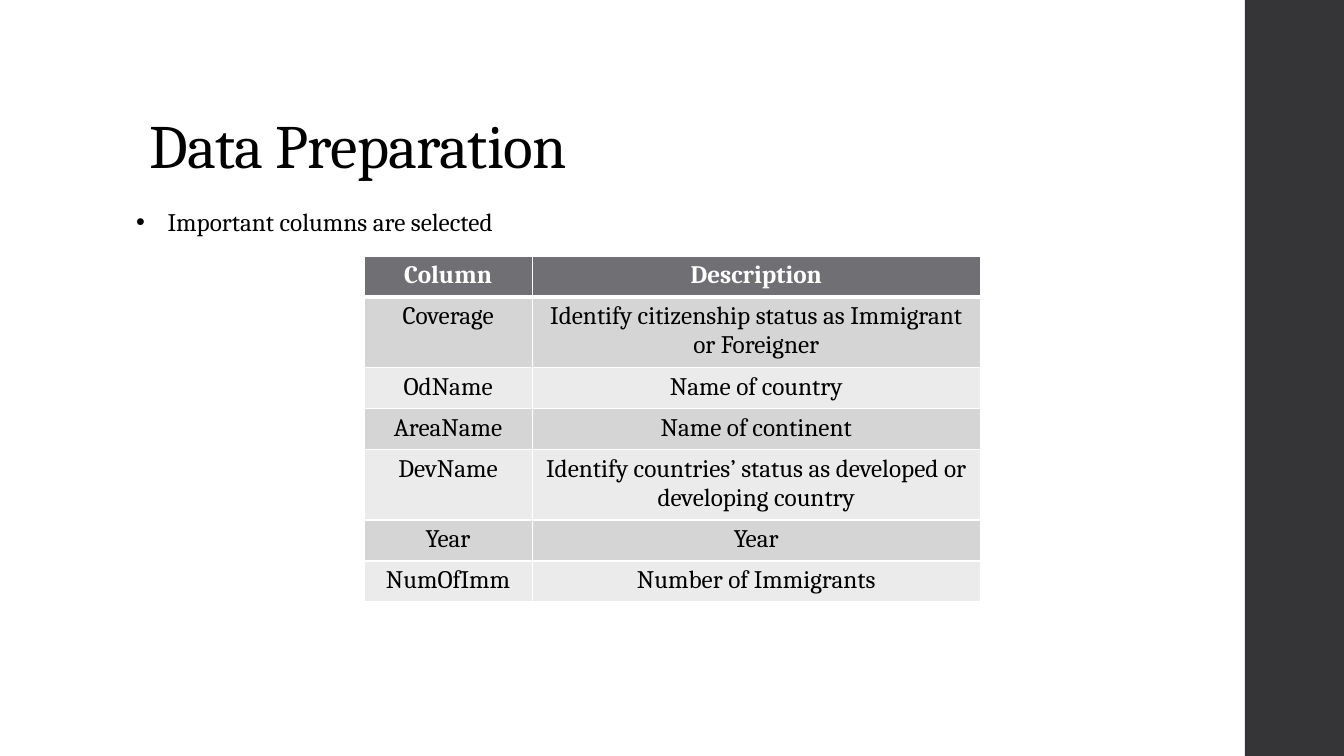
from dataclasses import dataclass

from lxml import etree
from pptx import Presentation
from pptx.dml.color import RGBColor
from pptx.enum import shapes, text
from pptx.oxml import ns
from pptx.util import Pt


@dataclass(frozen=True)
class Theme:
    font: str = "Cambria"
    title_size: float = 44
    body_size: float = 18
    ink: str = "000000"
    paper: str = "FFFFFF"
    sidebar: str = "353537"
    header: str = "6F6F74"
    bands: tuple[str, str] = ("D5D5D6", "EBEBEB")
    rule: float = 1
    header_rule: float = 3


@dataclass(frozen=True)
class Box:
    left: float
    top: float
    width: float
    height: float

    def lengths(self) -> tuple[Pt, Pt, Pt, Pt]:
        return Pt(self.left), Pt(self.top), Pt(self.width), Pt(self.height)


@dataclass(frozen=True)
class Field:
    column: str
    description: str


THEME = Theme()
SLIDE_WIDTH, SLIDE_HEIGHT = 960, 540
SIDEBAR_LEFT = 889.2
SIDEBAR = Box(SIDEBAR_LEFT, 0, SLIDE_WIDTH - SIDEBAR_LEFT, SLIDE_HEIGHT)
HEADING = Box(99.4, 28.8, 763.2, 104.4)
BULLET = Box(90, 144, 638, 29.1)
BULLET_INDENT = 22.5
COLUMN_WIDTHS = (120.2, 320)
ROW_HEIGHT = 29.2

FIELDS = (
    Field("Column", "Description"),
    Field("Coverage", "Identify citizenship status as Immigrant or Foreigner"),
    Field("OdName", "Name of country"),
    Field("AreaName", "Name of continent"),
    Field("DevName", "Identify countries’ status as developed or developing country"),
    Field("Year", "Year"),
    Field("NumOfImm", "Number of Immigrants"),
)
TABLE = Box(260, 183, sum(COLUMN_WIDTHS), ROW_HEIGHT * len(FIELDS))


def format_runs(paragraph, size: float, color: str, bold: bool = False) -> None:
    for run in paragraph.runs:
        run.font.name = THEME.font
        run.font.size = Pt(size)
        run.font.bold = bold
        run.font.color.rgb = RGBColor.from_string(color)


def place(shape, box: Box) -> None:
    shape.left, shape.top, shape.width, shape.height = box.lengths()


def draw_sidebar(slide) -> None:
    sidebar = slide.shapes.add_shape(shapes.MSO_SHAPE.RECTANGLE, *SIDEBAR.lengths())
    sidebar.shadow.inherit = False
    sidebar.fill.solid()
    sidebar.fill.fore_color.rgb = RGBColor.from_string(THEME.sidebar)
    sidebar.line.fill.background()


def write_heading(slide, wording: str) -> None:
    heading = slide.shapes.title
    place(heading, HEADING)
    frame = heading.text_frame
    frame.text = wording
    frame.auto_size = text.MSO_AUTO_SIZE.NONE
    frame.vertical_anchor = text.MSO_ANCHOR.BOTTOM
    paragraph = frame.paragraphs[0]
    paragraph.alignment = text.PP_ALIGN.LEFT
    paragraph.line_spacing = 0.9
    format_runs(paragraph, THEME.title_size, THEME.ink)
    # Letter spacing is in hundredths of a point
    paragraph.runs[0].font._element.set("spc", "-50")


def write_bullet(slide, wording: str) -> None:
    body = slide.placeholders[1]
    place(body, BULLET)
    frame = body.text_frame
    frame.text = wording
    frame.auto_size = text.MSO_AUTO_SIZE.SHAPE_TO_FIT_TEXT
    paragraph = frame.paragraphs[0]
    paragraph.space_before = Pt(0)
    format_runs(paragraph, THEME.body_size, THEME.ink)
    properties = paragraph._p.get_or_add_pPr()
    properties.set("marL", str(Pt(BULLET_INDENT)))
    properties.set("indent", str(-Pt(BULLET_INDENT)))
    etree.SubElement(properties, ns.qn("a:buFont")).set("typeface", "Arial")
    etree.SubElement(properties, ns.qn("a:buChar")).set("char", "•")


def rule_cell(cell, widths: dict[str, float]) -> None:
    properties = cell._tc.get_or_add_tcPr()
    # Borders come before the fill, in the order left, right, top, bottom
    for position, (side, width) in enumerate(widths.items()):
        border = etree.Element(ns.qn(f"a:ln{side}"), w=str(Pt(width)))
        fill = etree.SubElement(border, ns.qn("a:solidFill"))
        etree.SubElement(fill, ns.qn("a:srgbClr")).set("val", THEME.paper)
        properties.insert(position, border)


def fill_cell(cell, wording: str, row: int) -> None:
    is_header = row == 0
    cell.text_frame.text = wording
    paragraph = cell.text_frame.paragraphs[0]
    paragraph.alignment = text.PP_ALIGN.CENTER
    format_runs(paragraph, THEME.body_size, THEME.paper if is_header else THEME.ink, is_header)
    cell.fill.solid()
    color = THEME.header if is_header else THEME.bands[(row - 1) % 2]
    cell.fill.fore_color.rgb = RGBColor.from_string(color)
    rule_cell(cell, {
        "L": THEME.rule,
        "R": THEME.rule,
        "T": THEME.header_rule if row == 1 else THEME.rule,
        "B": THEME.header_rule if is_header else THEME.rule,
    })


def draw_fields(slide, fields: tuple[Field, ...]) -> None:
    table = slide.shapes.add_table(len(fields), len(COLUMN_WIDTHS), *TABLE.lengths()).table
    for column, width in zip(table.columns, COLUMN_WIDTHS):
        column.width = Pt(width)
    for row, field in enumerate(fields):
        table.rows[row].height = Pt(ROW_HEIGHT)
        for column, wording in enumerate((field.column, field.description)):
            fill_cell(table.cell(row, column), wording, row)


def main() -> None:
    deck = Presentation()
    deck.slide_width, deck.slide_height = Pt(SLIDE_WIDTH), Pt(SLIDE_HEIGHT)
    slide = deck.slides.add_slide(deck.slide_layouts[1])

    # Side panel
    draw_sidebar(slide)

    # Title and list
    write_heading(slide, "Data Preparation")
    write_bullet(slide, "Important columns are selected")

    # Selected columns
    draw_fields(slide, FIELDS)

    deck.save("out.pptx")


if __name__ == "__main__":
    main()
